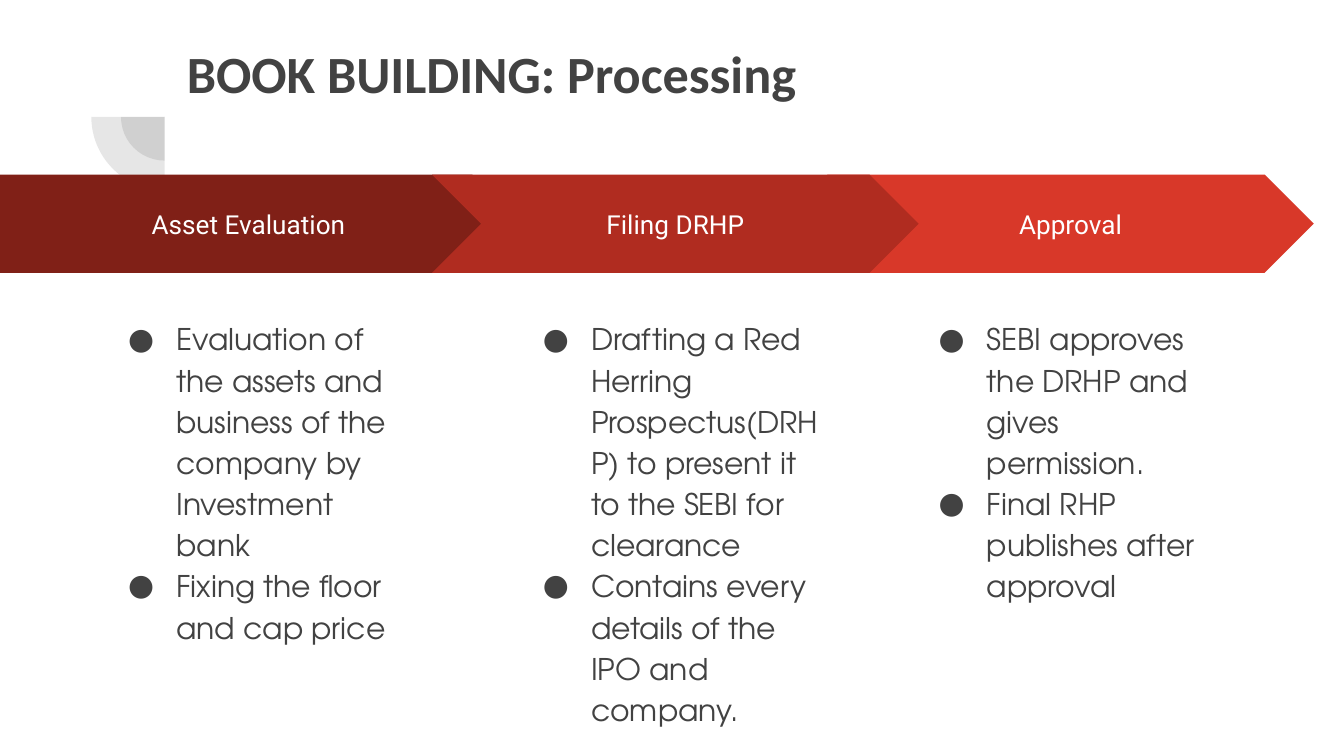
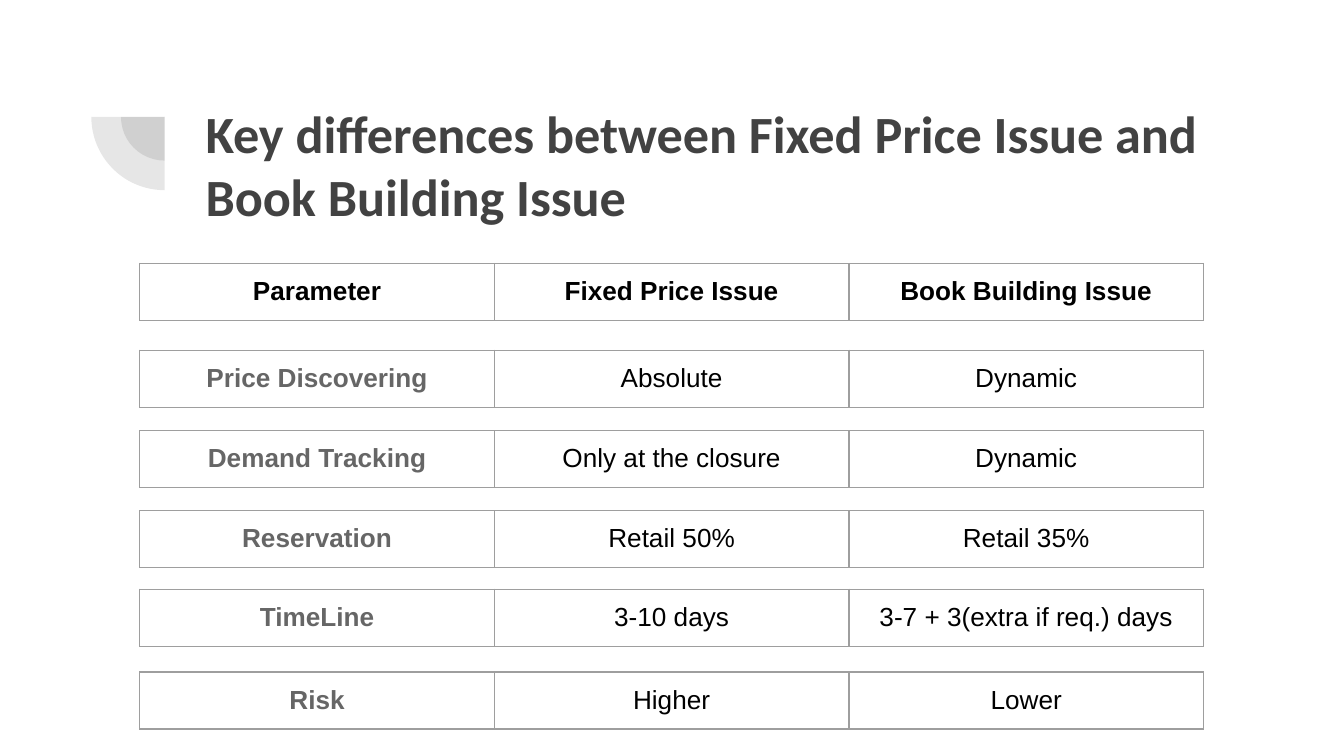
from dataclasses import dataclass

from lxml.etree import SubElement
from pptx import Presentation
from pptx.dml.color import RGBColor as Color
from pptx.enum.shapes import MSO_SHAPE as Preset
from pptx.enum.text import MSO_ANCHOR as Anchor, MSO_AUTO_SIZE as AutoSize, PP_ALIGN as Align
from pptx.oxml.ns import qn
from pptx.util import Pt

PX = 4572
INSET = 20 * PX


@dataclass(frozen=True)
class Theme:
    ink: str = "424242"
    white: str = "FFFFFF"
    black: str = "000000"
    label: str = "666666"
    border: str = "9E9E9E"
    dark_red: str = "802017"
    mid_red: str = "B02C20"
    bright_red: str = "D83829"
    title_font: str = "Calibri"
    arrow_font: str = "Roboto"
    body_font: str = "TeX Gyre Adventor"
    table_font: str = "Arial"
    title_size: int = 28
    body_size: int = 16
    small_size: int = 14
    badge_alpha: int = 13


theme = Theme()


def write(frame, *lines, font, size, color, bold=False, align=Align.LEFT,
          anchor=Anchor.TOP, spacing=1.0, bullet=None):
    frame.word_wrap = True
    frame.vertical_anchor = anchor
    frame.margin_left = frame.margin_right = INSET
    frame.margin_top = frame.margin_bottom = INSET
    for index, line in enumerate(lines):
        para = frame.add_paragraph() if index else frame.paragraphs[0]
        para.alignment = align
        para.line_spacing = spacing
        para.space_before = para.space_after = Pt(0)
        span = para.add_run()
        span.text = line
        span.font.name = font
        span.font.size = Pt(size)
        span.font.bold = bold
        span.font.color.rgb = Color.from_string(color)
        if bullet:
            props = para._p.get_or_add_pPr()
            props.set("marL", str(100 * PX))
            props.set("indent", str(-72 * PX))
            tint = SubElement(props, qn("a:buClr"))
            SubElement(tint, qn("a:srgbClr"), val=color)
            SubElement(props, qn("a:buFont"), typeface=theme.arrow_font)
            SubElement(props, qn("a:buChar"), char=bullet)


def draw(page, preset, left, top, width, height, color):
    shape = page.shapes.add_shape(preset, left * PX, top * PX, width * PX, height * PX)
    shape.shadow.inherit = False
    shape.fill.solid()
    shape.fill.fore_color.rgb = Color.from_string(color)
    shape.line.fill.background()
    return shape


deck = Presentation()
deck.slide_width = 2000 * PX
deck.slide_height = 1125 * PX

pages = []
for heading, left, top in (
    ("BOOK BUILDING: Processing", 258, 42),
    ("Key differences between Fixed Price Issue and Book Building Issue", 286, 131),
):
    page = deck.slides.add_slide(deck.slide_layouts[5])
    pages.append(page)
    for radius in (65, 109):
        pie = draw(page, Preset.PIE, 245 - radius, 174 - radius,
                   2 * radius, 2 * radius, theme.ink)
        pie.rotation = 270
        pie.adjustments[0] = 108
        pie.adjustments[1] = 162
        tint = pie.element.spPr.find(qn("a:solidFill"))[0]
        SubElement(tint, qn("a:alpha"), val=str(theme.badge_alpha * 1000))
    title = page.shapes.title
    title.left, title.top = left * PX, top * PX
    title.width, title.height = 1538 * PX, 218 * PX
    write(title.text_frame, heading, font=theme.title_font, size=theme.title_size,
          color=theme.ink, bold=True)
    title.text_frame.auto_size = AutoSize.NONE

process_page, comparison_page = pages

stages = (
    ("Approval", Preset.CHEVRON, 1231, 724, theme.bright_red, 1349,
     ("SEBI approves the DRHP and gives permission.",
      "Final RHP publishes after approval")),
    ("Asset Evaluation", Preset.PENTAGON, 0, 776, theme.dark_red, 143,
     ("Evaluation of the assets and business of the company by Investment bank",
      "Fixing the floor and cap price")),
    ("Filing DRHP", Preset.CHEVRON, 643, 724, theme.mid_red, 760,
     ("Drafting a Red Herring Prospectus(DRHP) to present it to the SEBI for clearance",
      "Contains every details of the IPO and company.")),
)
for name, preset, left, width, color, box_left, points in stages:
    arrow = draw(process_page, preset, left, 260, width, 146, color)
    write(arrow.text_frame, name, font=theme.arrow_font, size=theme.small_size,
          color=theme.white, align=Align.CENTER, anchor=Anchor.MIDDLE)
    box = process_page.shapes.add_textbox(box_left * PX, 450 * PX, 490 * PX, 572 * PX)
    write(box.text_frame, *points, font=theme.body_font, size=theme.body_size,
          color=theme.ink, spacing=1.15, bullet="●")

comparisons = (
    (392, "Parameter", "Fixed Price Issue", "Book Building Issue"),
    (521, "Price Discovering", "Absolute", "Dynamic"),
    (641, "Demand Tracking", "Only at the closure", "Dynamic"),
    (760, "Reservation", "Retail 50%", "Retail 35%"),
    (877, "TimeLine", "3-10 days", "3-7 + 3(extra if req.) days"),
    (1000, "Risk", "Higher", "Lower"),
)
for number, (top, *texts) in enumerate(comparisons):
    table = comparison_page.shapes.add_table(
        1, 3, 208 * PX, top * PX, 1583 * PX, 85 * PX).table
    table.first_row = table.horz_banding = False
    for column, text in enumerate(texts):
        cell = table.cell(0, column)
        is_label = number > 0 and column == 0
        write(cell.text_frame, text, font=theme.table_font, size=theme.small_size,
              color=theme.label if is_label else theme.black,
              bold=number == 0 or is_label, align=Align.CENTER)
        cell.margin_left = cell.margin_right = INSET
        cell.margin_top = cell.margin_bottom = INSET
        props = cell._tc.get_or_add_tcPr()
        for side in ("a:lnL", "a:lnR", "a:lnT", "a:lnB"):
            edge = SubElement(props, qn(side), w=str(Pt(0.75)))
            paint = SubElement(edge, qn("a:solidFill"))
            SubElement(paint, qn("a:srgbClr"), val=theme.border)
        cell.fill.background()

deck.save("out.pptx")
